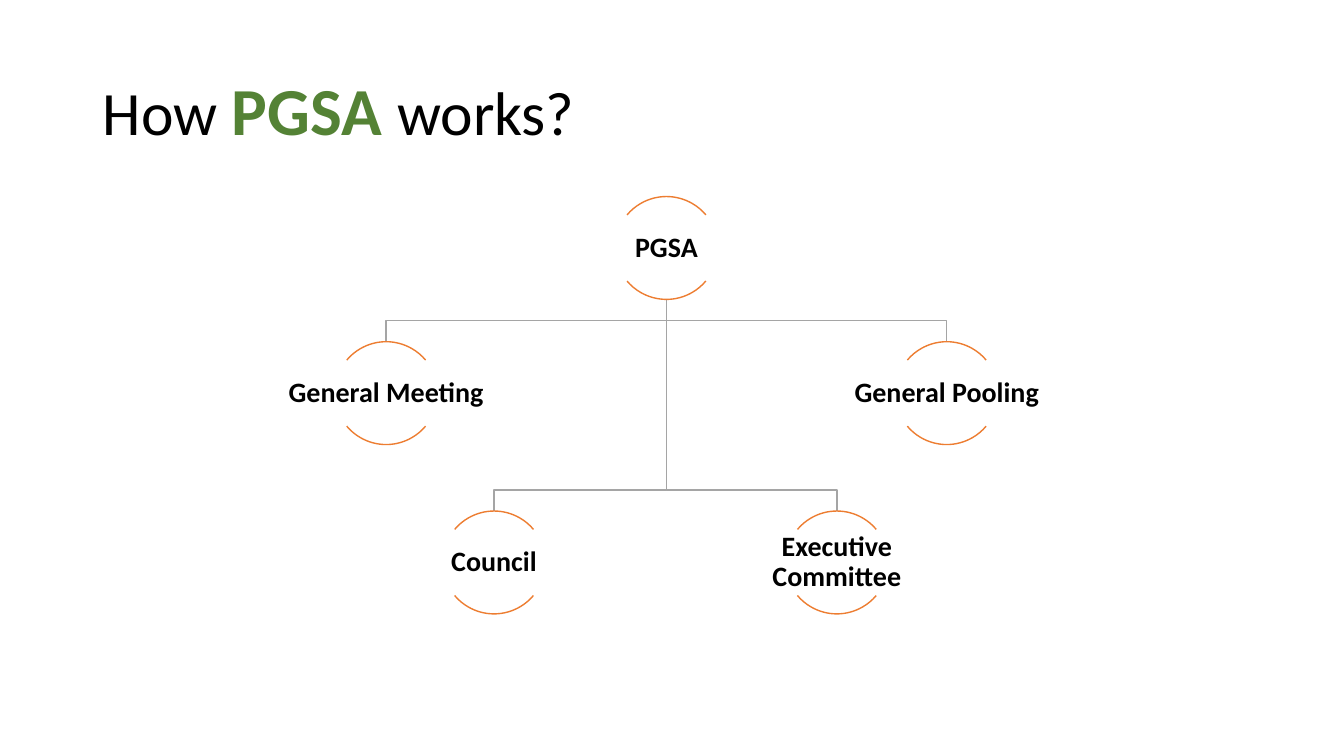
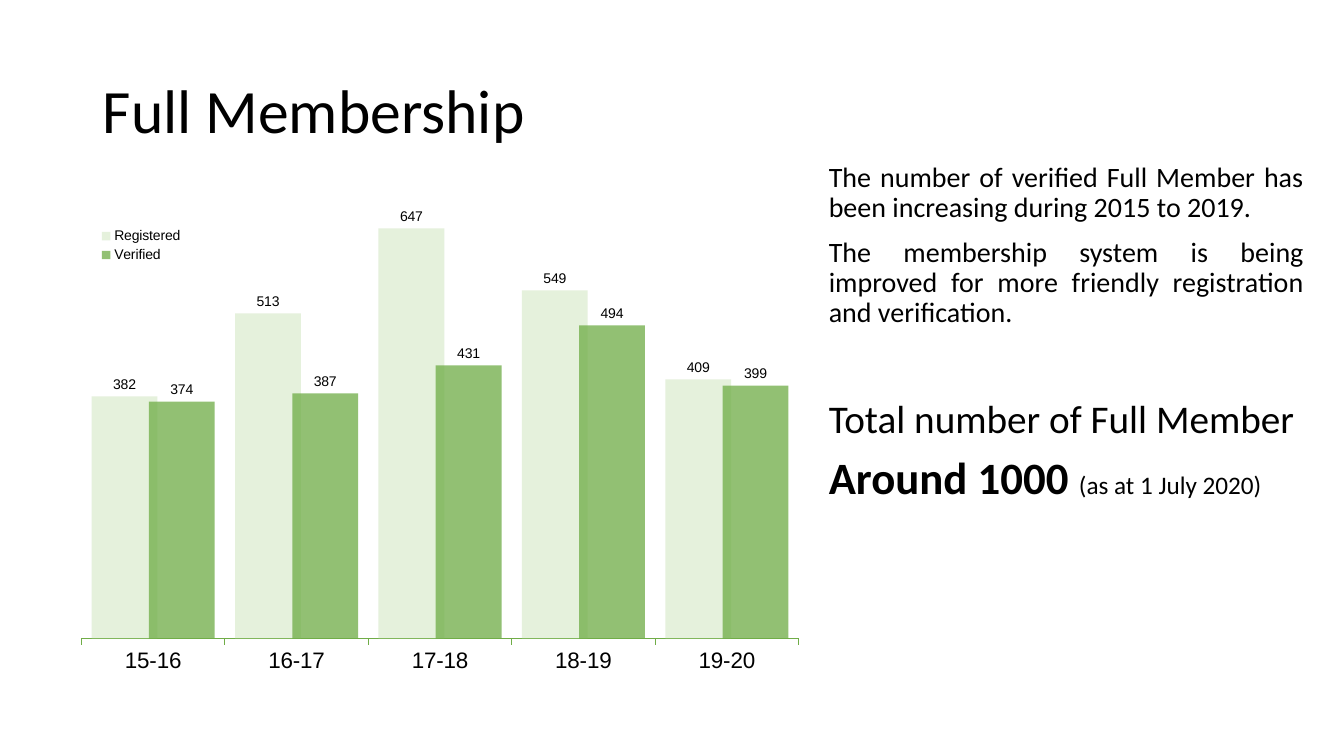
from lxml import etree
from pptx import Presentation
from pptx.chart.data import CategoryChartData
from pptx.dml.color import RGBColor
from pptx.enum.chart import XL_CHART_TYPE, XL_LABEL_POSITION, XL_LEGEND_POSITION, XL_TICK_MARK
from pptx.enum.shapes import MSO_SHAPE
from pptx.enum.text import MSO_ANCHOR, MSO_AUTO_SIZE, PP_ALIGN
from pptx.oxml.ns import qn
from pptx.util import Inches, Pt

ARC = MSO_SHAPE.ARC
COLUMNS = XL_CHART_TYPE.COLUMN_CLUSTERED
OUTSIDE_END = XL_LABEL_POSITION.OUTSIDE_END
LEGEND_RIGHT = XL_LEGEND_POSITION.RIGHT
TICK_OUTSIDE = XL_TICK_MARK.OUTSIDE
MIDDLE, TOP = MSO_ANCHOR.MIDDLE, MSO_ANCHOR.TOP
LEFT, CENTER, JUSTIFY = PP_ALIGN.LEFT, PP_ALIGN.CENTER, PP_ALIGN.JUSTIFY
NO_AUTOSIZE = MSO_AUTO_SIZE.NONE

BLACK, DARK_GREEN, GREEN, PALE_GREEN = "000000", "548235", "70AD47", "A9D18E"
ORANGE, GRAY = "ED7D31", "A5A5A5"
TEXT_FONT, CHART_FONT = "Calibri", "Arial"

TITLE_AT = (0.92, 0.4, 11.5, 1.45)
WORKS_TITLE = [
    ("How ", {}),
    ("PGSA ", {"size": 48, "bold": True, "color": DARK_GREEN}),
    ("works?", {}),
]
MEMBERSHIP_TITLE = [("Full Membership", {})]

ROOT = ("PGSA", 6.61, 1.95)
BRANCHES = [
    ("Council", 4.9, 5.07),
    ("Executive Committee", 8.3, 5.07),
    ("General Meeting", 3.83, 3.39),
    ("General Pooling", 9.39, 3.39),
]
DIAMETER = 1.02
DROP = 0.21
LABEL_WIDTH, LABEL_HEIGHT = 2.04, 0.65
ARC_ANGLES = [(220, 320), (40, 140)]

BODY_AT = (8.06, 1.57, 4.97, 4.56)
BODY = [
    (JUSTIFY, 0, [("The number of verified Full Member has been increasing during 2015 to 2019.", {})]),
    (JUSTIFY, 10, [("The membership system is being improved for more friendly registration and verification.", {})]),
    (LEFT, 51, [("Total number of Full Member", {"size": 28})]),
    (LEFT, 10, [("Around 1000 ", {"size": 32, "bold": True}), ("(as at 1 July 2020)", {"size": 18})]),
]

CHART_AT = (0.66, 1.78, 7.41, 5.05)
YEARS = ["15-16", "16-17", "17-18", "18-19", "19-20"]
SERIES = [
    ("Registered", [382, 513, 647, 549, 409], PALE_GREEN, 30),
    ("Verified", [374, 387, 431, 494, 399], GREEN, 76),
]
PLOT_AREA = (0.02, 0.03, 0.96, 0.94)
LEGEND_AREA = (0.03, 0.09, 0.14, 0.08)


def rgb(color):
    return RGBColor.from_string(color)


def inches(lengths):
    return [Inches(length) for length in lengths]


def style_font(font, size, color=BLACK, name=TEXT_FONT, bold=False):
    font.name = name
    font.size = Pt(size)
    font.bold = bold
    font.color.rgb = rgb(color)


def write(para, spans, size, align=LEFT, before=0):
    para.alignment = align
    para.line_spacing = 0.9
    para.space_before = Pt(before)
    for text, style in spans:
        span = para.add_run()
        span.text = text
        style_font(span.font, **{"size": size, **style})


def place(box, at, anchor, margins=(0.1, 0.05)):
    box.left, box.top, box.width, box.height = inches(at)
    frame = box.text_frame
    frame.word_wrap = True
    frame.auto_size = NO_AUTOSIZE
    frame.vertical_anchor = anchor
    frame.margin_left = frame.margin_right = Inches(margins[0])
    frame.margin_top = frame.margin_bottom = Inches(margins[1])
    return frame


def add_page(deck, layout, title):
    page = deck.slides.add_slide(deck.slide_layouts[layout])
    frame = place(page.shapes.title, TITLE_AT, MIDDLE)
    write(frame.paragraphs[0], title, 44)
    return page


def outline(shape, color):
    shape.shadow.inherit = False
    shape.fill.background()
    shape.line.color.rgb = rgb(color)
    shape.line.width = Pt(1)


def add_branch_line(page, child):
    _, start_x, root_top = ROOT
    _, end_x, end_y = child
    bend_y = end_y - DROP
    builder = page.shapes.build_freeform(Inches(start_x), Inches(root_top + DIAMETER))
    points = [(start_x, bend_y), (end_x, bend_y), (end_x, end_y)]
    builder.add_line_segments([inches(point) for point in points], close=False)
    outline(builder.convert_to_shape(), GRAY)


def add_node(page, node):
    text, center, top = node
    circle = inches((center - DIAMETER / 2, top, DIAMETER, DIAMETER))
    for start, end in ARC_ANGLES:
        arc = page.shapes.add_shape(ARC, *circle)
        arc.adjustments[0] = start * 0.6
        arc.adjustments[1] = end * 0.6
        outline(arc, ORANGE)
    label_top = top + (DIAMETER - LABEL_HEIGHT) / 2
    at = (center - LABEL_WIDTH / 2, label_top, LABEL_WIDTH, LABEL_HEIGHT)
    frame = place(page.shapes.add_textbox(*inches(at)), at, MIDDLE, (0.01, 0.01))
    write(frame.paragraphs[0], [(text, {"bold": True})], 20, CENTER)


def add_body(page):
    frame = place(page.placeholders[1], BODY_AT, TOP)
    for index, (align, before, spans) in enumerate(BODY):
        para = frame.add_paragraph() if index else frame.paragraphs[0]
        properties = para._p.get_or_add_pPr()
        properties.set("marL", str(Inches(0.06)))
        properties.set("indent", "0")
        etree.SubElement(properties, qn("a:buNone"))
        write(para, spans, 20, align, before)


def set_layout(parent, area, position, target=None):
    for old in parent.findall(qn("c:layout")):
        parent.remove(old)
    layout = etree.Element(qn("c:layout"))
    manual = etree.SubElement(layout, qn("c:manualLayout"))
    settings = [("layoutTarget", target)] if target else []
    settings += [("xMode", "edge"), ("yMode", "edge"), *zip("xywh", area)]
    for name, value in settings:
        etree.SubElement(manual, qn("c:" + name)).set("val", str(value))
    parent.insert(position, layout)


def add_membership_chart(page):
    data = CategoryChartData()
    data.categories = YEARS
    for name, values, _, _ in SERIES:
        data.add_series(name, values)
    chart = page.shapes.add_chart(COLUMNS, *inches(CHART_AT), data).chart
    chart.has_title = False
    style_font(chart.font, 10, name=CHART_FONT)

    plot = chart.plots[0]
    plot.vary_by_categories = False
    plot.gap_width = 31
    plot.overlap = 13
    for series, (_, _, color, opacity) in zip(plot.series, SERIES):
        series.format.fill.solid()
        series.format.fill.fore_color.rgb = rgb(color)
        fill = series._element.find(".//" + qn("a:srgbClr"))
        etree.SubElement(fill, qn("a:alpha")).set("val", str(opacity * 1000))
        labels = series.data_labels
        labels.show_value = True
        labels.position = OUTSIDE_END
        style_font(labels.font, 10, name=CHART_FONT)

    years = chart.category_axis
    years.major_tick_mark = TICK_OUTSIDE
    years.has_major_gridlines = False
    years.format.line.color.rgb = rgb(GREEN)
    years.format.line.width = Pt(0.75)
    style_font(years.tick_labels.font, 16, name=CHART_FONT)

    counts = chart.value_axis
    counts.minimum_scale, counts.maximum_scale = 0, 700
    counts.has_major_gridlines = False
    counts.visible = False

    chart.has_legend = True
    legend = chart.legend
    legend.position = LEGEND_RIGHT
    legend.include_in_layout = False
    style_font(legend.font, 10, name=CHART_FONT)
    set_layout(legend._element, LEGEND_AREA, 1)
    set_layout(chart._chartSpace.find(".//" + qn("c:plotArea")), PLOT_AREA, 0, "outer")


def main():
    deck = Presentation()
    deck.slide_width, deck.slide_height = inches((13.33, 7.5))

    page = add_page(deck, 5, WORKS_TITLE)
    for child in BRANCHES:
        add_branch_line(page, child)
    for node in [ROOT, *BRANCHES]:
        add_node(page, node)

    page = add_page(deck, 1, MEMBERSHIP_TITLE)
    add_body(page)
    add_membership_chart(page)

    deck.save("out.pptx")


if __name__ == "__main__":
    main()
